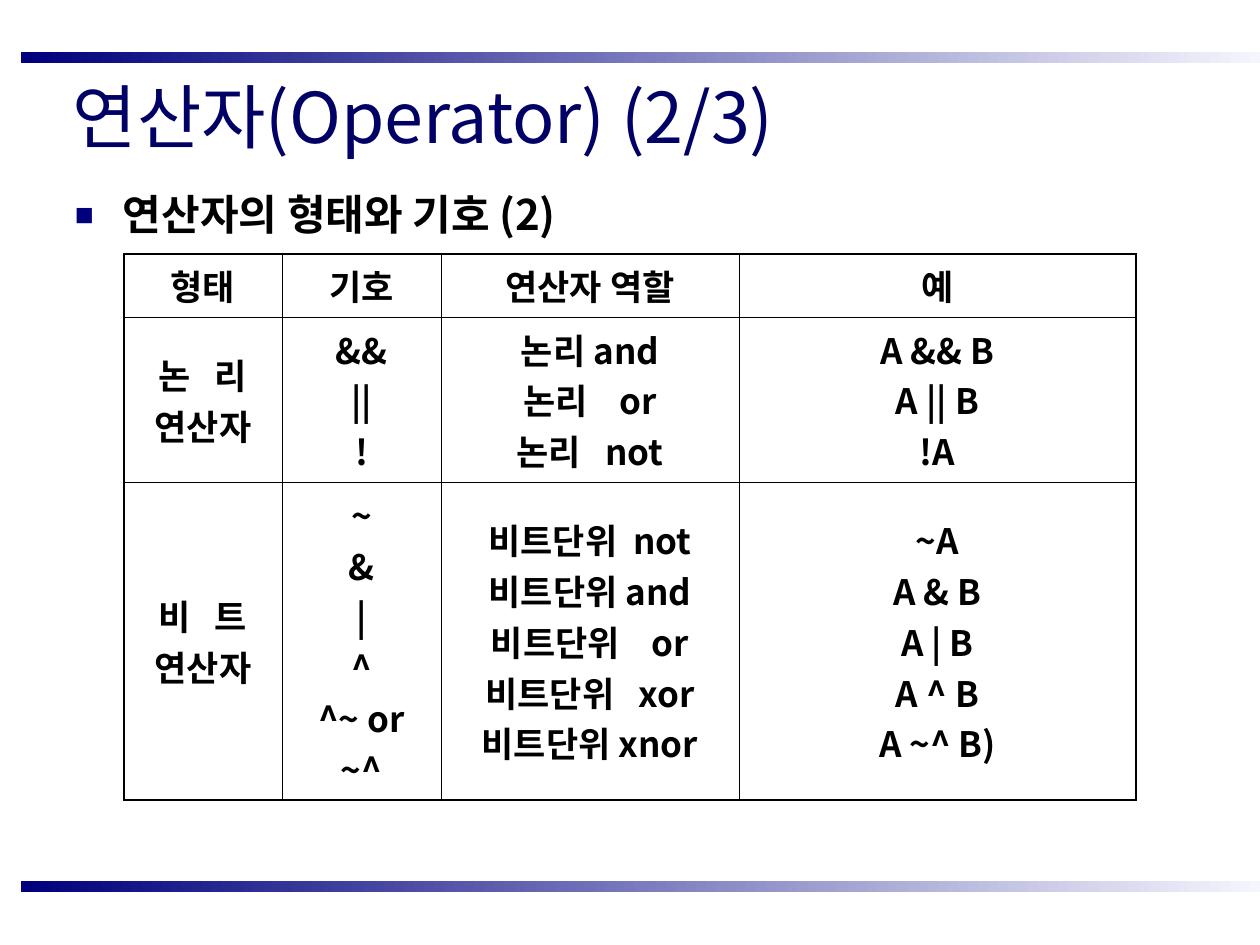
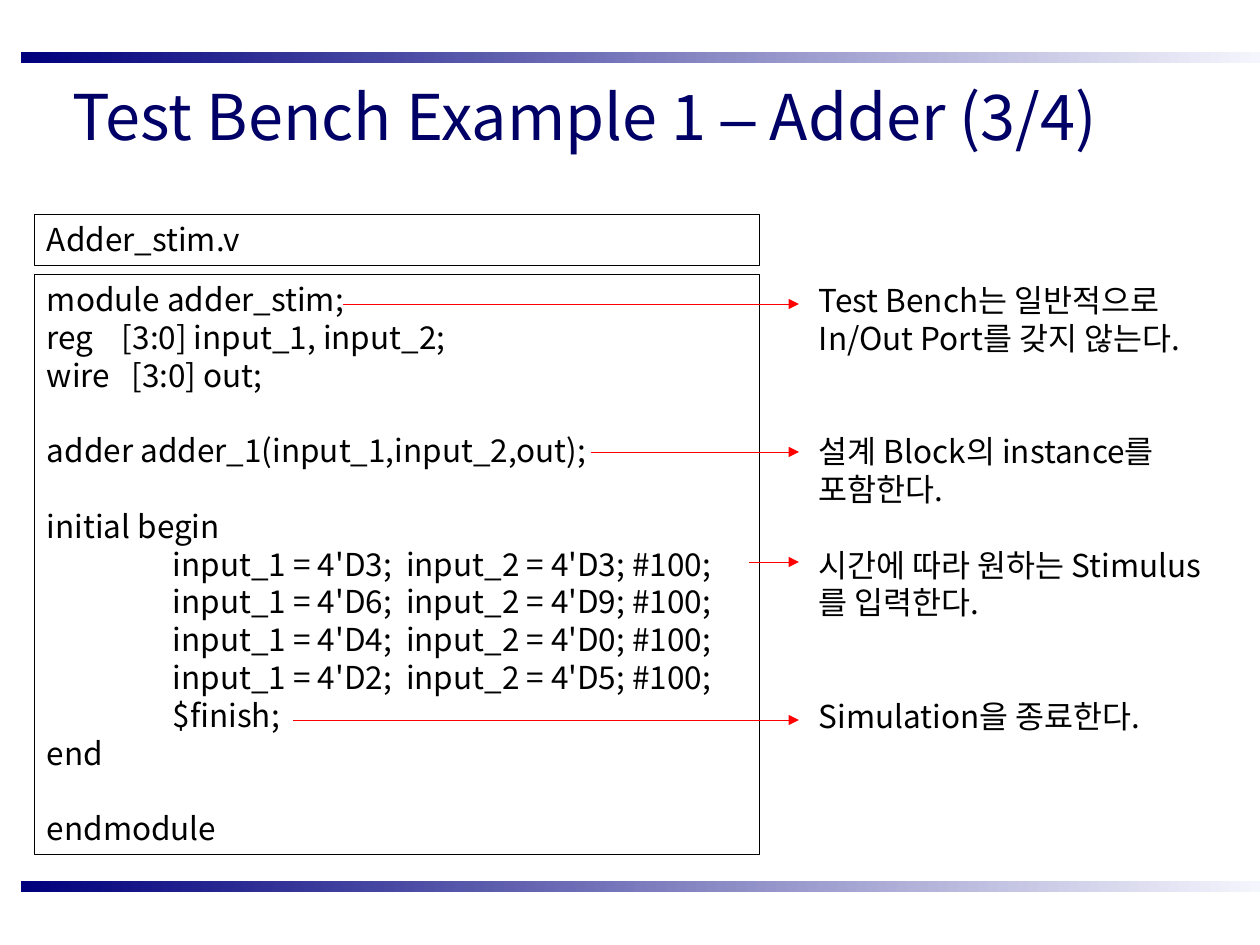
import pptx
import pptx.dml.color
import pptx.enum.shapes
import pptx.enum.text
import pptx.oxml.ns
import pptx.util
from lxml import etree

PX = 914400 / 126
SLIDE_W, SLIDE_H = 1260, 945
COLORS = {"title": "000066", "band": "00007D", "band_end": "F5F5FD",
          "ink": "000000", "arrow": "FF0000", "paper": "FFFFFF"}
KOREAN, LATIN = "Noto Sans CJK KR", "Arial"
INSET_X, INSET_Y = 13, 6
BAND_LEFT, BAND_H, BAND_TOPS = 21, 11, (52, 881)
TITLE_BOX = (60, 61, 1158, 109)

OPERATOR_TITLE = [("연산자(Operator) (2/3)", KOREAN)]
OPERATOR_HEADING = "연산자의 형태와 기호 (2)"
HEADING_BOX = (62, 183, 1134, 683)
OPERATORS = [
    [["형태"], ["기호"], ["연산자 역할"], ["예"]],
    [["논   리", "연산자"],
     ["&&", "||", "!"],
     ["논리 and", "논리    or", "논리   not"],
     ["A && B", "A || B", "!A"]],
    [["비   트", "연산자"],
     ["~", "&", "|", "^", "^~ or ~^"],
     ["비트단위  not", "비트단위 and", "비트단위    or",
      "비트단위   xor", "비트단위 xnor"],
     ["~A", "A & B", "A | B", "A ^ B", "A ~^ B)"]],
]
TABLE_LEFT, TABLE_TOP = 124, 254
COLUMN_WIDTHS = (158, 159, 298, 397)
ROW_HEIGHTS = (63, 165, 318)
OUTER_PT, INNER_PT = 1.08, 0.45

ADDER_TITLE = [("Test Bench Example 1 ", KOREAN), ("–", LATIN),
               (" Adder (3/4)", KOREAN)]
FILE_NAME = "Adder_stim.v"
FILE_BOX = (34, 214, 725, 51)
CODE_BOX = (34, 274, 725, 580)
NOTES_BOX = (806, 275, 430, 466)
CODE_PT, CODE_LINE_PT, CODE_INDENT = 18, 21.6, 126
# text, indent level, empty lines above
CODE = [
    ("module adder_stim;", 0, 0),
    ("reg    [3:0] input_1, input_2;", 0, 0),
    ("wire   [3:0] out;", 0, 0),
    ("adder adder_1(input_1,input_2,out);", 0, 1),
    ("initial begin", 0, 1),
    ("input_1 = 4'D3;  input_2 = 4'D3; #100;", 1, 0),
    ("input_1 = 4'D6;  input_2 = 4'D9; #100;", 1, 0),
    ("input_1 = 4'D4;  input_2 = 4'D0; #100;", 1, 0),
    ("input_1 = 4'D2;  input_2 = 4'D5; #100;", 1, 0),
    ("$finish;", 1, 0),
    ("end", 0, 0),
    ("endmodule", 0, 1),
]
NOTES = [
    ("Test Bench는 일반적으로 In/Out Port를 갖지 않는다.", 0, 0),
    ("설계 Block의 instance를 포함한다.", 0, 2),
    ("시간에 따라 원하는 Stimulus를 입력한다.", 0, 1),
    ("Simulation을 종료한다.", 0, 2),
]
ARROW_STARTS = [(343, 304), (591, 452), (749, 562), (293, 720)]
ARROW_TIP = 799


def px(*lengths):
    return [pptx.util.Emu(round(length * PX)) for length in lengths]


def rgb(name):
    return pptx.dml.color.RGBColor.from_string(COLORS[name])


def sub(parent, tag, **attributes):
    return etree.SubElement(parent, pptx.oxml.ns.qn(tag), attributes)


def add_run(paragraph, text, size, color="ink", font=KOREAN, bold=False):
    run = paragraph.add_run()
    run.text = text
    run.font.size = pptx.util.Pt(size)
    run.font.name = font
    run.font.bold = bold
    run.font.color.rgb = rgb(color)
    sub(run.font._element, "a:ea", typeface=font)


def paragraphs(frame, count):
    """Yield count paragraphs, beginning with the one already there."""
    yield frame.paragraphs[0]
    for _ in range(count - 1):
        yield frame.add_paragraph()


def set_insets(holder):
    """Set the margins of a text frame or a table cell."""
    holder.margin_left, holder.margin_right = px(INSET_X, INSET_X)
    holder.margin_top, holder.margin_bottom = px(INSET_Y, INSET_Y)


def prepare(frame, anchor=pptx.enum.text.MSO_ANCHOR.TOP):
    frame.word_wrap = True
    frame.vertical_anchor = anchor
    set_insets(frame)
    return frame


def add_rectangle(slide, box):
    rectangle = slide.shapes.add_shape(
        pptx.enum.shapes.MSO_SHAPE.RECTANGLE, *px(*box))
    rectangle.shadow.inherit = False
    return rectangle


def add_base_slide(deck, title, title_pt):
    slide = deck.slides.add_slide(deck.slide_layouts[6])
    for top in BAND_TOPS:
        band = add_rectangle(
            slide, (BAND_LEFT, top, SLIDE_W - BAND_LEFT, BAND_H))
        band.line.fill.background()
        band.fill.gradient()
        band.fill.gradient_angle = 0
        for stop, color in zip(band.fill.gradient_stops, ("band", "band_end")):
            stop.color.rgb = rgb(color)
    frame = prepare(slide.shapes.add_textbox(*px(*TITLE_BOX)).text_frame,
                    pptx.enum.text.MSO_ANCHOR.MIDDLE)
    for text, font in title:
        add_run(frame.paragraphs[0], text, title_pt, "title", font)
    return slide


def add_heading(slide):
    frame = prepare(slide.shapes.add_textbox(*px(*HEADING_BOX)).text_frame)
    heading = frame.paragraphs[0]
    heading.space_before = pptx.util.Pt(6)
    properties = heading._p.get_or_add_pPr()
    indent, = px(48)
    properties.set("marL", str(indent))
    properties.set("indent", str(-indent))
    sub(sub(properties, "a:buClr"), "a:srgbClr", val=COLORS["band"])
    sub(properties, "a:buSzPct", val="75000")
    sub(properties, "a:buFont", typeface=LATIN)
    sub(properties, "a:buChar", char="■")
    add_run(heading, OPERATOR_HEADING, 24, bold=True)


def set_borders(cell, outer_sides):
    properties = cell._tc.get_or_add_tcPr()
    for position, side in enumerate("LRTB"):
        width = OUTER_PT if side in outer_sides else INNER_PT
        line = sub(properties, f"a:ln{side}", w=str(pptx.util.Pt(width)))
        sub(sub(line, "a:solidFill"), "a:srgbClr", val=COLORS["ink"])
        properties.insert(position, line)


def add_operator_table(slide):
    rows, columns = len(ROW_HEIGHTS), len(COLUMN_WIDTHS)
    table = slide.shapes.add_table(
        rows, columns, *px(TABLE_LEFT, TABLE_TOP,
                           sum(COLUMN_WIDTHS), sum(ROW_HEIGHTS))).table
    table.first_row = table.horz_banding = False
    for column, width in zip(table.columns, px(*COLUMN_WIDTHS)):
        column.width = width
    for row, height in zip(table.rows, px(*ROW_HEIGHTS)):
        row.height = height
    for r, row in enumerate(OPERATORS):
        for c, lines in enumerate(row):
            cell = table.cell(r, c)
            cell.fill.solid()
            cell.fill.fore_color.rgb = rgb("paper")
            cell.vertical_anchor = pptx.enum.text.MSO_ANCHOR.MIDDLE
            set_insets(cell)
            edges = {"L": c == 0, "R": c == columns - 1,
                     "T": r == 0, "B": r == rows - 1}
            set_borders(cell, [side for side in edges if edges[side]])
            for paragraph, text in zip(
                    paragraphs(cell.text_frame, len(lines)), lines):
                paragraph.alignment = pptx.enum.text.PP_ALIGN.CENTER
                add_run(paragraph, text, 20, bold=True)


def write_lines(frame, lines):
    prepare(frame)
    for paragraph, (text, level, empty_above) in zip(
            paragraphs(frame, len(lines)), lines):
        paragraph.alignment = pptx.enum.text.PP_ALIGN.LEFT
        paragraph.line_spacing = pptx.util.Pt(CODE_LINE_PT)
        paragraph.space_before = pptx.util.Pt(CODE_LINE_PT * empty_above)
        if level:
            indent, = px(CODE_INDENT * level)
            paragraph._p.get_or_add_pPr().set("marL", str(indent))
        add_run(paragraph, text, CODE_PT)


def add_code_panel(slide, box, lines):
    panel = add_rectangle(slide, box)
    panel.fill.background()
    panel.line.color.rgb = rgb("ink")
    panel.line.width = pptx.util.Pt(0.25)
    write_lines(panel.text_frame, lines)


def add_arrow(slide, x, y):
    arrow = slide.shapes.add_connector(
        pptx.enum.shapes.MSO_CONNECTOR.STRAIGHT, *px(x, y, ARROW_TIP, y))
    arrow.line.color.rgb = rgb("arrow")
    arrow.line.width = pptx.util.Pt(0.25)
    sub(arrow.line._get_or_add_ln(), "a:tailEnd", type="triangle")
    sub(arrow._element.spPr, "a:effectLst")


def main():
    deck = pptx.Presentation()
    deck.slide_width, deck.slide_height = px(SLIDE_W, SLIDE_H)

    operators = add_base_slide(deck, OPERATOR_TITLE, 40)
    add_heading(operators)
    add_operator_table(operators)

    adder = add_base_slide(deck, ADDER_TITLE, 36)
    add_code_panel(adder, CODE_BOX, CODE)
    add_code_panel(adder, FILE_BOX, [(FILE_NAME, 0, 0)])
    write_lines(adder.shapes.add_textbox(*px(*NOTES_BOX)).text_frame, NOTES)
    for start in ARROW_STARTS:
        add_arrow(adder, *start)

    deck.save("out.pptx")


if __name__ == "__main__":
    main()
